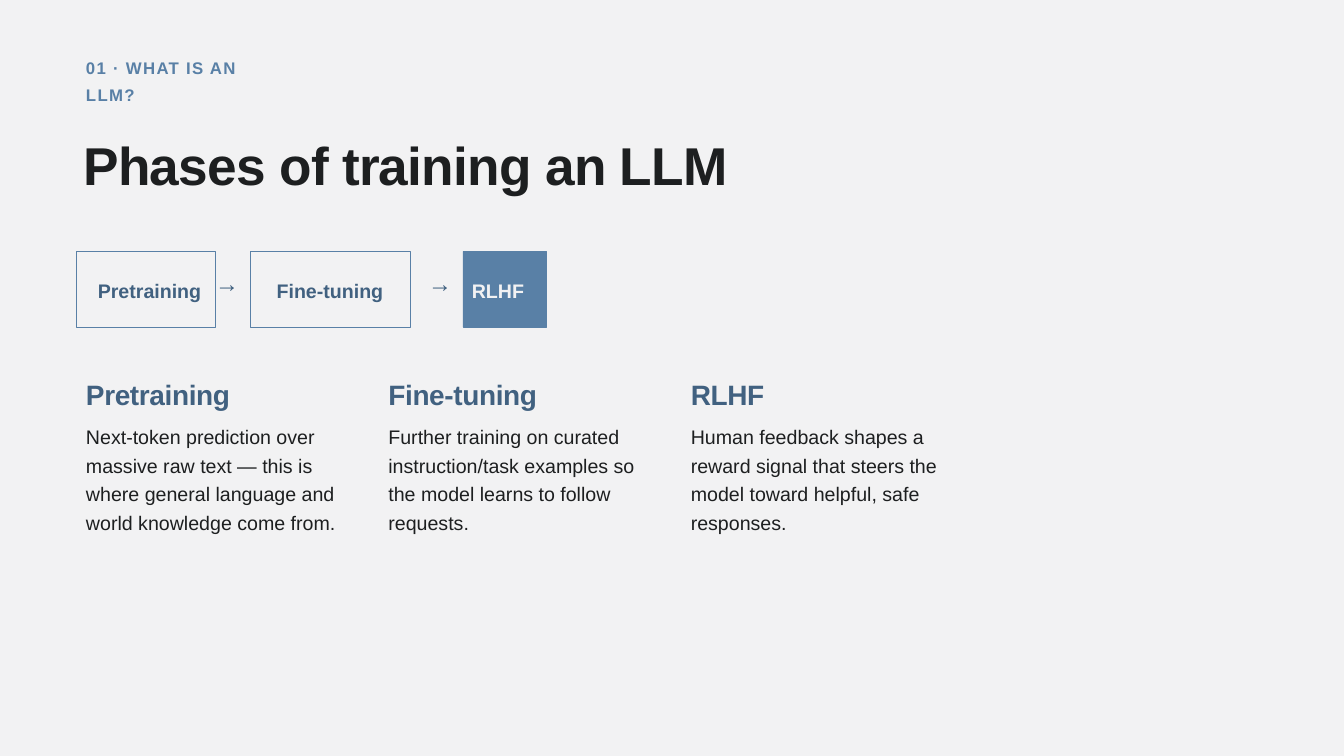
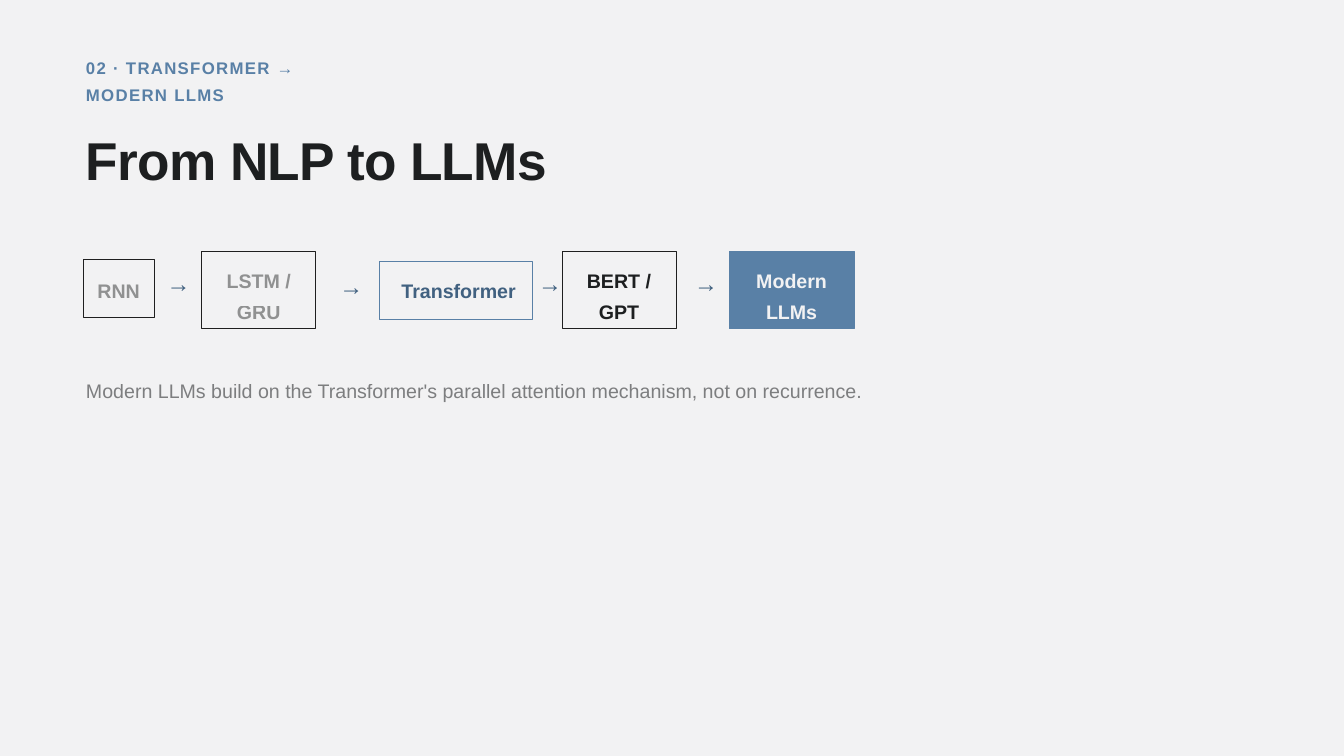
from dataclasses import dataclass
from typing import NamedTuple

from lxml.etree import SubElement
from pptx import Presentation
from pptx.dml.color import RGBColor
from pptx.dml.fill import FillFormat
from pptx.enum.shapes import MSO_SHAPE
from pptx.enum.text import MSO_AUTO_SIZE, PP_ALIGN
from pptx.oxml.ns import qn
from pptx.presentation import Presentation as Deck
from pptx.slide import Slide
from pptx.util import Emu, Pt

PX = 9144
FONT = "Arial"
PAPER, INK, BLUE, NAVY, RULE = "F2F2F3", "1D1F20", "5980A6", "416180", "1F1F1F"
MARGIN = 128


class Area(NamedTuple):
    x: int
    y: int
    w: int
    h: int


@dataclass(frozen=True)
class TextStyle:
    size: float
    leading: float
    color: str
    bold: bool = False
    spacing: int = 0
    align: PP_ALIGN = PP_ALIGN.LEFT
    alpha: int = 100


@dataclass(frozen=True)
class BoxStyle:
    fill: str
    line: str
    color: str
    alpha: int = 100


@dataclass(frozen=True)
class Step:
    label: str
    box: Area
    label_area: Area
    style: BoxStyle


class Arrow(NamedTuple):
    x: int
    y: int = 406


class Phase(NamedTuple):
    name: str
    body: str


EYEBROW = TextStyle(18, 28.7, BLUE, True, 140)
TITLE = TextStyle(57, 75.5, INK, True, -80)
HEADING = TextStyle(30, 35.8, NAVY, True, -40)
BODY = TextStyle(21, 30.9, INK)
NOTE = TextStyle(21, 30.9, "1D1F21", alpha=55)
ARROW = TextStyle(25.5, 26.7, NAVY)

OUTLINED = BoxStyle(PAPER, BLUE, NAVY)
FILLED = BoxStyle(BLUE, BLUE, PAPER)
FADED = BoxStyle(PAPER, RULE, "1D1F1F", 45)
DARK = BoxStyle(PAPER, RULE, INK)

TRAINING_FLOW = [
    Step("Pretraining", Area(113, 374, 208, 113), Area(144, 403, 157, 45), OUTLINED),
    Step("Fine-tuning", Area(372, 374, 238, 113), Area(400, 403, 182, 45), OUTLINED),
    Step("RLHF", Area(689, 374, 124, 113), Area(698, 403, 86, 45), FILLED),
]
TRAINING_ARROWS = [Arrow(320), Arrow(637)]

PHASES = [
    Phase("Pretraining", "Next-token prediction over massive raw text — this is where "
          "general language and world knowledge come from."),
    Phase("Fine-tuning", "Further training on curated instruction/task examples so the "
          "model learns to follow requests."),
    Phase("RLHF", "Human feedback shapes a reward signal that steers the model toward "
          "helpful, safe responses."),
]
PHASE_PITCH = 450

HISTORY_FLOW = [
    Step("RNN", Area(124, 386, 105, 86), Area(141, 402, 71, 45), FADED),
    Step("LSTM / GRU", Area(300, 374, 170, 115), Area(325, 387, 120, 54), FADED),
    Step("Transformer", Area(565, 389, 227, 86), Area(590, 402, 185, 45), OUTLINED),
    Step("BERT / GPT", Area(837, 374, 169, 115), Area(862, 387, 118, 54), DARK),
    Step("Modern LLMs", Area(1085, 374, 186, 115), Area(1110, 387, 136, 54), FILLED),
]
HISTORY_ARROWS = [Arrow(248), Arrow(505, 410), Arrow(801), Arrow(1033)]


def emu(area: Area) -> list[Emu]:
    return [Emu(v * PX) for v in area]


def paint(fill: FillFormat, color: str) -> None:
    fill.solid()
    fill.fore_color.rgb = RGBColor.from_string(color)


def add_text(shapes, area: Area, text: str, style: TextStyle) -> None:
    tf = shapes.add_textbox(*emu(area)).text_frame
    tf.margin_left = tf.margin_top = tf.margin_right = tf.margin_bottom = 0
    tf.word_wrap = True
    tf.auto_size = MSO_AUTO_SIZE.SHAPE_TO_FIT_TEXT
    p = tf.paragraphs[0]
    p.alignment = style.align
    p.line_spacing = Pt(style.leading)
    r = p.add_run()
    r.text = text
    r.font.name = FONT
    r.font.size = Pt(style.size)
    r.font.bold = style.bold
    paint(r.font.fill, style.color)
    props = r._r.get_or_add_rPr()
    if style.spacing:
        props.set("spc", str(style.spacing))
    if style.alpha < 100:
        clr = props.find(".//" + qn("a:srgbClr"))
        SubElement(clr, qn("a:alpha")).set("val", str(style.alpha * 1000))


def add_step(s: Slide, step: Step) -> None:
    shapes = s.shapes.add_group_shape().shapes
    sp = shapes.add_shape(MSO_SHAPE.RECTANGLE, *emu(step.box))
    sp.shadow.inherit = False
    paint(sp.fill, step.style.fill)
    paint(sp.line.fill, step.style.line)
    sp.line.width = Pt(0.75)
    label = TextStyle(21, 34.2, step.style.color, True,
                      align=PP_ALIGN.CENTER, alpha=step.style.alpha)
    add_text(shapes, step.label_area, step.label, label)


def add_flow(s: Slide, steps: list[Step], arrows: list[Arrow]) -> None:
    for step in steps:
        add_step(s, step)
    for arrow in arrows:
        add_text(s.shapes, Area(arrow.x, arrow.y, 33, 31), "→", ARROW)


def add_slide(prs: Deck, eyebrow: str, eyebrow_width: int,
              title: str, title_x: int, title_y: int) -> Slide:
    s = prs.slides.add_slide(prs.slide_layouts[6])
    paint(s.background.fill, PAPER)
    add_text(s.shapes, Area(MARGIN, 76, eyebrow_width, 25), eyebrow, EYEBROW)
    add_text(s.shapes, Area(title_x, title_y, 1800, 64), title, TITLE)
    return s


def build_training(prs: Deck) -> None:
    s = add_slide(prs, "01 · WHAT IS AN LLM?", 240, "Phases of training an LLM", 124, 187)
    add_flow(s, TRAINING_FLOW, TRAINING_ARROWS)
    for i, phase in enumerate(PHASES):
        x = MARGIN + i * PHASE_PITCH
        add_text(s.shapes, Area(x, 562, 434, 46), phase.name, HEADING)
        add_text(s.shapes, Area(x, 624, 406, 168), phase.body, BODY)


def build_history(prs: Deck) -> None:
    s = add_slide(prs, "02 · TRANSFORMER → MODERN LLMS", 410, "From NLP to LLMs", MARGIN, 180)
    add_flow(s, HISTORY_FLOW, HISTORY_ARROWS)
    add_text(s.shapes, Area(MARGIN, 556, 1590, 46),
             "Modern LLMs build on the Transformer's parallel attention mechanism, "
             "not on recurrence.", NOTE)


def main() -> None:
    prs = Presentation()
    prs.slide_width, prs.slide_height = Emu(2000 * PX), Emu(1125 * PX)
    build_training(prs)
    build_history(prs)
    prs.save("out.pptx")


if __name__ == "__main__":
    main()
